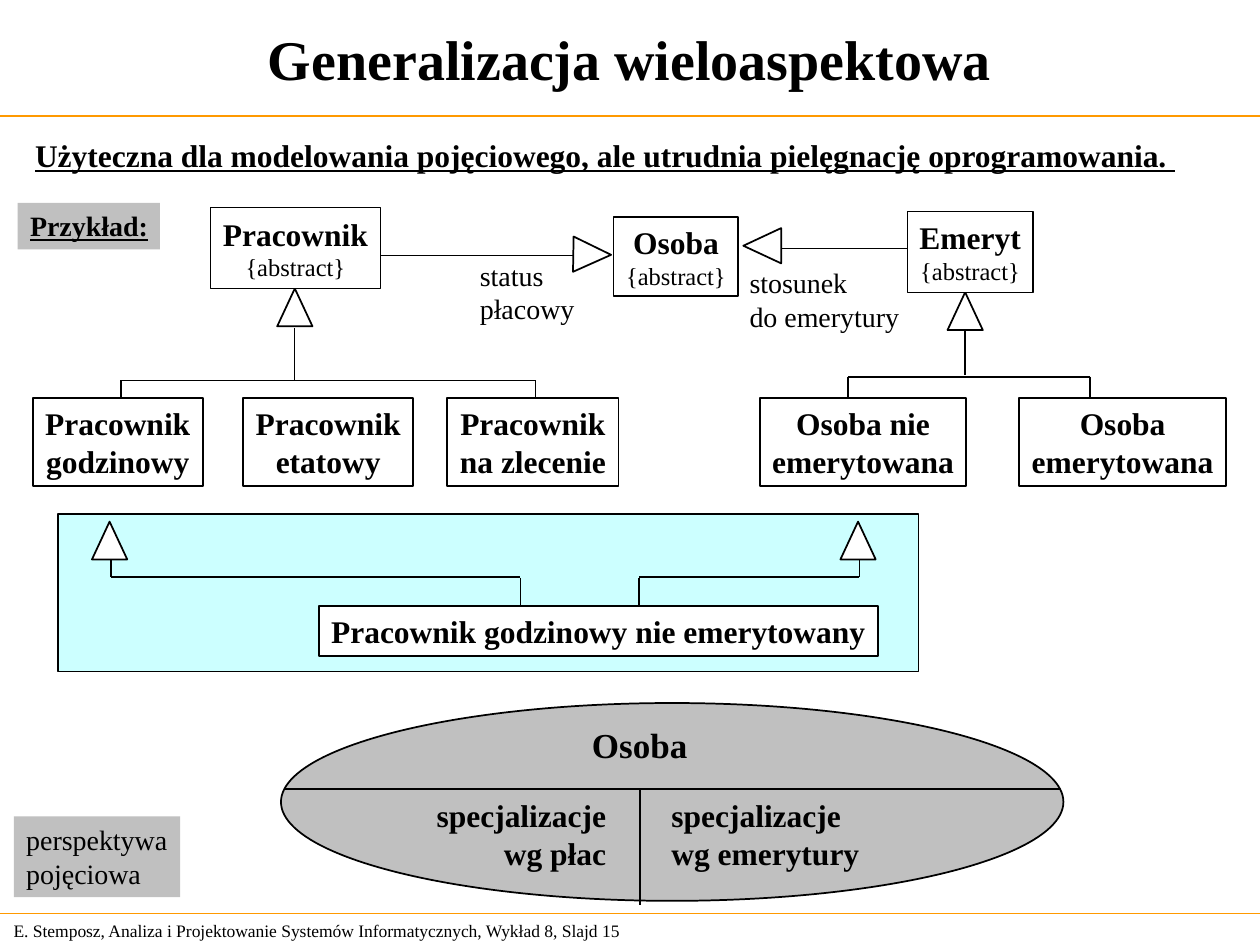
from dataclasses import dataclass
from itertools import pairwise
from typing import Optional

from lxml.etree import SubElement
from pptx import Presentation
from pptx.dml.color import RGBColor
from pptx.enum.shapes import MSO_CONNECTOR, MSO_SHAPE
from pptx.enum.text import MSO_ANCHOR, MSO_AUTO_SIZE, PP_ALIGN
from pptx.oxml.ns import qn
from pptx.util import Inches, Pt

BLACK = RGBColor(0x00, 0x00, 0x00)
WHITE = RGBColor(0xFF, 0xFF, 0xFF)
GREY = RGBColor(0xC0, 0xC0, 0xC0)
CYAN = RGBColor(0xCC, 0xFF, 0xFF)
ORANGE = RGBColor(0xFF, 0x99, 0x00)
FONT = "Times New Roman"
LEFT, MID, RIGHT = PP_ALIGN.LEFT, PP_ALIGN.CENTER, PP_ALIGN.RIGHT
TOP, CENTRE = MSO_ANCHOR.TOP, MSO_ANCHOR.MIDDLE
THIN, BOLD = 0.75, 1
PAD, SLACK = Inches(0.1), Inches(0.04)

# Grid of 100 columns by 75 rows on the slide
COLS, ROWS = 100, 75
deck = Presentation()
deck.slide_width, deck.slide_height = Inches(10), Inches(7.5)
slide = deck.slides.add_slide(deck.slide_layouts[6])
shapes = slide.shapes

Area = tuple[float, float, float, float]
Point = tuple[float, float]


@dataclass(frozen=True)
class Run:
    text: str
    size: float = 18
    bold: bool = True
    under: bool = False


@dataclass(frozen=True)
class Label:
    area: Area
    lines: list[list[Run]]
    align: PP_ALIGN = LEFT
    anchor: MSO_ANCHOR = TOP
    fill: Optional[RGBColor] = None
    edge: float = 0


@dataclass(frozen=True)
class Path:
    points: list[Point]
    width: float = THIN
    color: RGBColor = BLACK


@dataclass(frozen=True)
class Head:
    """Hollow generalisation arrowhead, given by its top left corner."""
    left: float
    top: float
    turn: float = 0


def col(n: float) -> int:
    return round(deck.slide_width * n / COLS)


def row(n: float) -> int:
    return round(deck.slide_height * n / ROWS)


def place(area: Area) -> tuple[int, int, int, int]:
    x, y, w, h = area
    return col(x), row(y), col(w), row(h)


def draw_shape(kind: MSO_SHAPE, area: Area, fill: Optional[RGBColor], edge: float):
    shape = shapes.add_shape(kind, *place(area))
    shape.shadow.inherit = False
    if fill is None:
        shape.fill.background()
    else:
        shape.fill.solid()
        shape.fill.fore_color.rgb = fill
    if edge:
        shape.line.color.rgb = BLACK
        shape.line.width = Pt(edge)
    else:
        shape.line.fill.background()
    return shape


def draw_path(path: Path) -> None:
    for (x1, y1), (x2, y2) in pairwise(path.points):
        line = shapes.add_connector(
            MSO_CONNECTOR.STRAIGHT, col(x1), row(y1), col(x2), row(y2))
        line.line.color.rgb = path.color
        line.line.width = Pt(path.width)
        SubElement(line._element.spPr, qn("a:effectLst"))


def draw_head(head: Head) -> None:
    area = (head.left, head.top, 2.8, 3)
    shape = draw_shape(MSO_SHAPE.ISOSCELES_TRIANGLE, area, WHITE, BOLD)
    shape.rotation = head.turn


def draw_label(label: Label) -> None:
    """Draw text, with spare room on each side it is not aligned to."""
    if label.fill is None and not label.edge:
        shape = shapes.add_textbox(*place(label.area))
    else:
        shape = draw_shape(MSO_SHAPE.RECTANGLE, label.area, label.fill, label.edge)
    frame = shape.text_frame
    frame.word_wrap = True
    frame.auto_size = MSO_AUTO_SIZE.NONE
    frame.vertical_anchor = label.anchor
    frame.margin_left = SLACK if label.align in (MID, RIGHT) else PAD
    frame.margin_right = PAD if label.align == RIGHT else SLACK
    for i, runs in enumerate(label.lines):
        para = frame.add_paragraph() if i else frame.paragraphs[0]
        para.alignment = label.align
        for part in runs:
            run = para.add_run()
            run.text = part.text
            font = run.font
            font.name, font.size = FONT, Pt(part.size)
            font.bold, font.underline = part.bold, part.under
            font.color.rgb = BLACK


def plain(*texts: str, size: float = 18, bold: bool = True) -> list[list[Run]]:
    return [[Run(text, size, bold)] for text in texts]


def root(area: Area, name: str, anchor: MSO_ANCHOR, edge: float) -> Label:
    """Abstract class box."""
    lines = plain(name) + plain("{abstract}", size=14, bold=False)
    return Label(area, lines, MID, anchor, WHITE, edge)


def leaf(left: float, width: float, *texts: str) -> Label:
    """Concrete class box in the shared row of subclasses."""
    return Label((left, 31.6, width, 7), plain(*texts), MID, TOP, WHITE, BOLD)


PATHS = [
    Path([(0, 9.2), (COLS, 9.2)], color=ORANGE),
    Path([(0, 72.5), (COLS, 72.5)], color=ORANGE),
    Path([(29.9, 20.3), (45.9, 20.3)]),
    Path([(62, 19.7), (72.3, 19.7)]),
    Path([(23.4, 30.2), (23.4, 26)]),
    Path([(9.6, 31.5), (9.6, 30.2)]),
    Path([(9.6, 30.2), (42.5, 30.2), (42.5, 33.8)], BOLD),
    Path([(76.6, 26.3), (76.6, 29.8)]),
    Path([(67.3, 33.6), (67.3, 29.9), (86.5, 29.9), (86.5, 33.6)], BOLD),
    Path([(41.3, 45.8), (8.8, 45.8), (8.8, 44.3)]),
    Path([(50.7, 45.8), (68.2, 45.8), (68.2, 44.3)]),
    Path([(41.3, 45.9), (41.3, 50.4)], BOLD),
    Path([(50.7, 45.9), (50.7, 50.4)], BOLD),
    Path([(22.6, 62.6), (84.1, 62.6)], BOLD),
    Path([(50.8, 62.7), (50.8, 71.8)]),
]
HEADS = [
    Head(22, 22.9), Head(75.2, 23.2), Head(7.3, 41.4), Head(66.7, 41.4),
    Head(59.1, 18, 270), Head(45.6, 18.7, 91),
]
LABELS = [
    Label((0, 0, COLS, 9.2), plain("Generalizacja wieloaspektowa", size=32),
          MID, CENTRE),
    Label((1.8, 10.3, 95.4, 4),
          [[Run("Użyteczna dla modelowania pojęciowego, ale utrudnia "
                "pielęgnację oprogramowania.", under=True),
            Run(" ", bold=False, under=True)]], PP_ALIGN.JUSTIFY),
    Label((1.4, 16.1, 11.3, 3.7), [[Run("Przykład:", 16, under=True)]], fill=GREY),
    root((16.7, 16.5, 13.5, 6.4), "Pracownik", CENTRE, THIN),
    root((48.7, 17.2, 9.9, 6.3), "Osoba", TOP, BOLD),
    root((72, 16.8, 10, 6.4), "Emeryt", CENTRE, THIN),
    Label((37.1, 20, 9.5, 6.3), plain("status", "płacowy", size=16, bold=False)),
    Label((58.5, 20.6, 13.9, 6.3),
          plain("stosunek", "do emerytury", size=16, bold=False)),
    leaf(2.6, 13.5, "Pracownik", "godzinowy"),
    leaf(19.3, 13.5, "Pracownik", "etatowy"),
    leaf(35.5, 13.6, "Pracownik", "na zlecenie"),
    leaf(60.3, 16.4, "Osoba nie", "emerytowana"),
    leaf(80.9, 16.4, "Osoba", "emerytowana"),
    Label((25.3, 48.1, 44.4, 4), plain("Pracownik godzinowy nie emerytowany"),
          fill=WHITE, edge=BOLD),
    Label((46, 56.9, 9.6, 4.4), plain("Osoba", size=20)),
    Label((33.7, 62.7, 15.4, 7), plain("specjalizacje", "wg płac"), RIGHT),
    Label((52.3, 62.7, 16.9, 7), plain("specjalizacje", "wg emerytury")),
    Label((1.1, 64.8, 13.2, 6.4),
          plain("perspektywa", "pojęciowa", size=16, bold=False), fill=GREY),
    Label((0.1, 72.5, 52.4, 2.7),
          plain("E. Stemposz, Analiza i Projektowanie Systemów Informatycznych, "
                "Wykład 8, Slajd 15", size=10, bold=False), anchor=CENTRE),
]

draw_shape(MSO_SHAPE.RECTANGLE, (4.6, 40.8, 68.3, 12.5), CYAN, THIN)
draw_shape(MSO_SHAPE.OVAL, (22.3, 55.8, 62.1, 15.7), GREY, BOLD)
for path in PATHS:
    draw_path(path)
for head in HEADS:
    draw_head(head)
for label in LABELS:
    draw_label(label)
deck.save("out.pptx")
